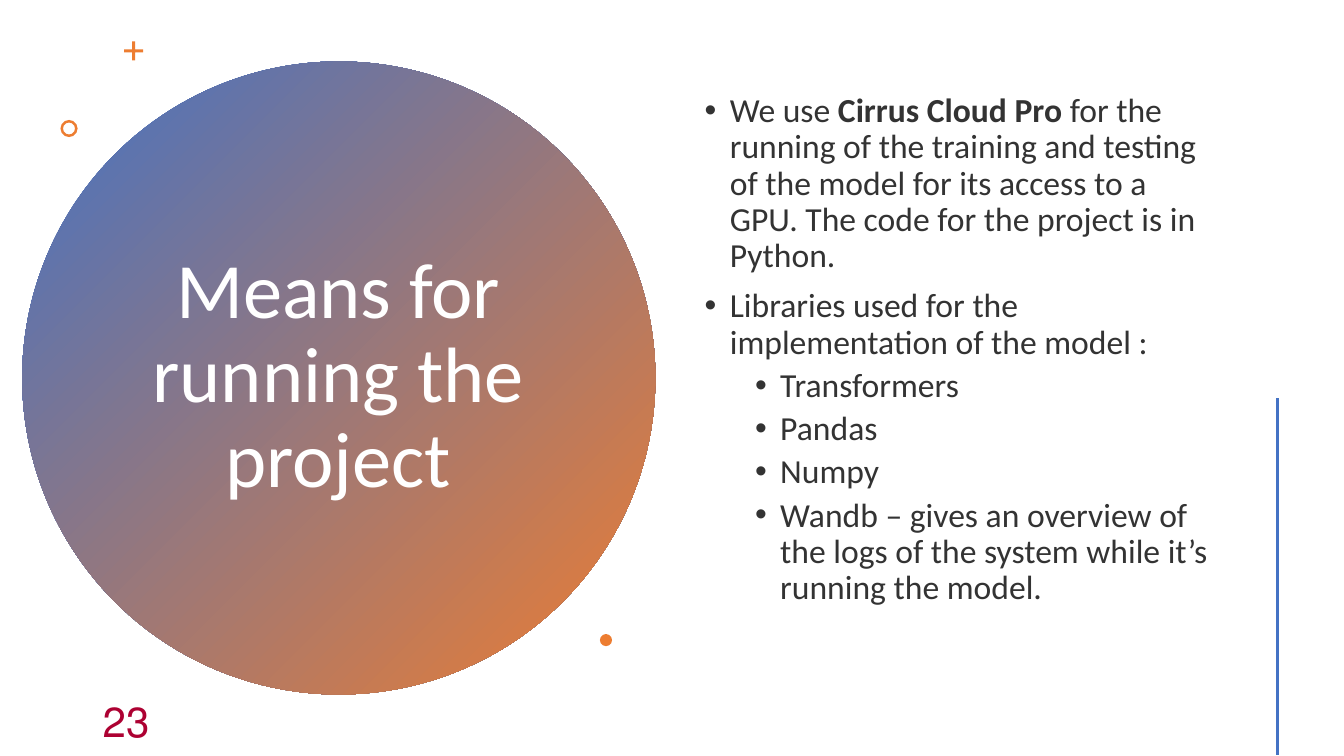
from lxml import etree
from pptx import Presentation
from pptx.dml.color import RGBColor
from pptx.enum.shapes import MSO_CONNECTOR, MSO_SHAPE
from pptx.enum.text import MSO_ANCHOR, PP_ALIGN
from pptx.oxml.ns import qn
from pptx.util import Inches, Pt

OVAL, CROSS, DONUT = MSO_SHAPE.OVAL, MSO_SHAPE.CROSS, MSO_SHAPE.DONUT
STRAIGHT = MSO_CONNECTOR.STRAIGHT
MIDDLE = MSO_ANCHOR.MIDDLE
LEFT, CENTER = PP_ALIGN.LEFT, PP_ALIGN.CENTER

FONT = "Calibri"
BLUE, ORANGE, WHITE = "4472C4", "ED7D31", "FFFFFF"
BODY_COLOR, NUMBER_COLOR = "333333", "AD0132"

# Each item: (level, [(text, bold), ...])
MEANS = [
    (0, [("We use ", False), ("Cirrus Cloud Pro ", True),
         ("for the running of the training and testing of the model for its "
          "access to a GPU. The code for the project is in Python.", False)]),
    (0, [("Libraries used for the implementation of the model :", False)]),
    (1, [("Transformers", False)]),
    (1, [("Pandas", False)]),
    (1, [("Numpy", False)]),
    (1, [("Wandb – gives an overview of the logs of the system while it’s "
          "running the model.", False)]),
]


def color(hex_string):
    return RGBColor.from_string(hex_string)


def add_plain_shape(slide, kind, left, top, size, fill=ORANGE, adjustment=None):
    """Add a square-boxed shape without line or shadow."""
    shape = slide.shapes.add_shape(
        kind, Inches(left), Inches(top), Inches(size), Inches(size))
    shape.shadow.inherit = False
    shape.line.fill.background()
    shape.fill.solid()
    shape.fill.fore_color.rgb = color(fill)
    if adjustment is not None:
        shape.adjustments[0] = adjustment
    return shape


def add_text_frame(slide, left, top, width, height):
    box = slide.shapes.add_textbox(
        Inches(left), Inches(top), Inches(width), Inches(height))
    frame = box.text_frame
    frame.word_wrap = True
    frame.vertical_anchor = MIDDLE
    return frame


def add_run(paragraph, text, size=24, fill=BODY_COLOR, bold=False):
    run = paragraph.add_run()
    run.text = text
    run.font.name = FONT
    run.font.size = Pt(size)
    run.font.bold = bold
    run.font.color.rgb = color(fill)


def set_bullet(paragraph, level):
    properties = paragraph._p.get_or_add_pPr()
    properties.set("marL", str(Inches(0.25 + 0.5 * level)))
    properties.set("indent", str(Inches(-0.25)))
    etree.SubElement(properties, qn("a:buFont")).set("typeface", "Arial")
    etree.SubElement(properties, qn("a:buChar")).set("char", "•")


def add_title_circle(slide, left, top, size):
    circle = add_plain_shape(slide, OVAL, left, top, size)
    circle.fill.gradient()
    circle.fill.gradient_angle = 315
    for stop, shade in zip(circle.fill.gradient_stops, (BLUE, ORANGE)):
        stop.color.rgb = color(shade)

    frame = add_text_frame(slide, left + 1.14, top + 0.8, size - 2.29, size - 1.61)
    paragraph = frame.paragraphs[0]
    paragraph.alignment = CENTER
    paragraph.line_spacing = 0.9
    add_run(paragraph, "Means for running the project", size=56, fill=WHITE)

    add_plain_shape(slide, CROSS, left + 1.01, top - 0.2, 0.19, adjustment=0.42)
    add_plain_shape(slide, DONUT, left + 0.38, top + 0.58, 0.17, adjustment=0.15)
    add_plain_shape(slide, OVAL, left + 5.73, top + 5.68, 0.12)


def add_means_list(slide, left, top, width, height):
    frame = add_text_frame(slide, left, top, width, height)
    for index, (level, runs) in enumerate(MEANS):
        paragraph = frame.add_paragraph() if index else frame.paragraphs[0]
        paragraph.level = level
        paragraph.line_spacing = 0.9
        if index:
            paragraph.space_before = Pt(5 if level else 10)
        set_bullet(paragraph, level)
        for text, bold in runs:
            add_run(paragraph, text, bold=bold)


def add_side_line(slide, left, top, height):
    line = slide.shapes.add_connector(
        STRAIGHT, Inches(left), Inches(top), Inches(left), Inches(top + height))
    line.line.color.rgb = color(BLUE)
    line.line.width = Pt(2)
    etree.SubElement(line._element.spPr, qn("a:effectLst"))


def add_slide_number(slide, left, top, width, height):
    paragraph = add_text_frame(slide, left, top, width, height).paragraphs[0]
    paragraph.alignment = LEFT
    paragraph._p.get_or_add_pPr().set("rtl", "1")
    add_run(paragraph, "23", size=30, fill=NUMBER_COLOR)


def main():
    presentation = Presentation()
    presentation.slide_width = Inches(13.33)
    presentation.slide_height = Inches(7.5)
    slide = presentation.slides.add_slide(presentation.slide_layouts[6])
    add_title_circle(slide, 0.22, 0.61, 6.28)
    add_means_list(slide, 6.89, 0, 5.22, 6.95)
    add_side_line(slide, 12.67, 3.95, 3.54)
    add_slide_number(slide, 0.92, 6.95, 3, 0.4)
    presentation.save("out.pptx")


if __name__ == "__main__":
    main()
